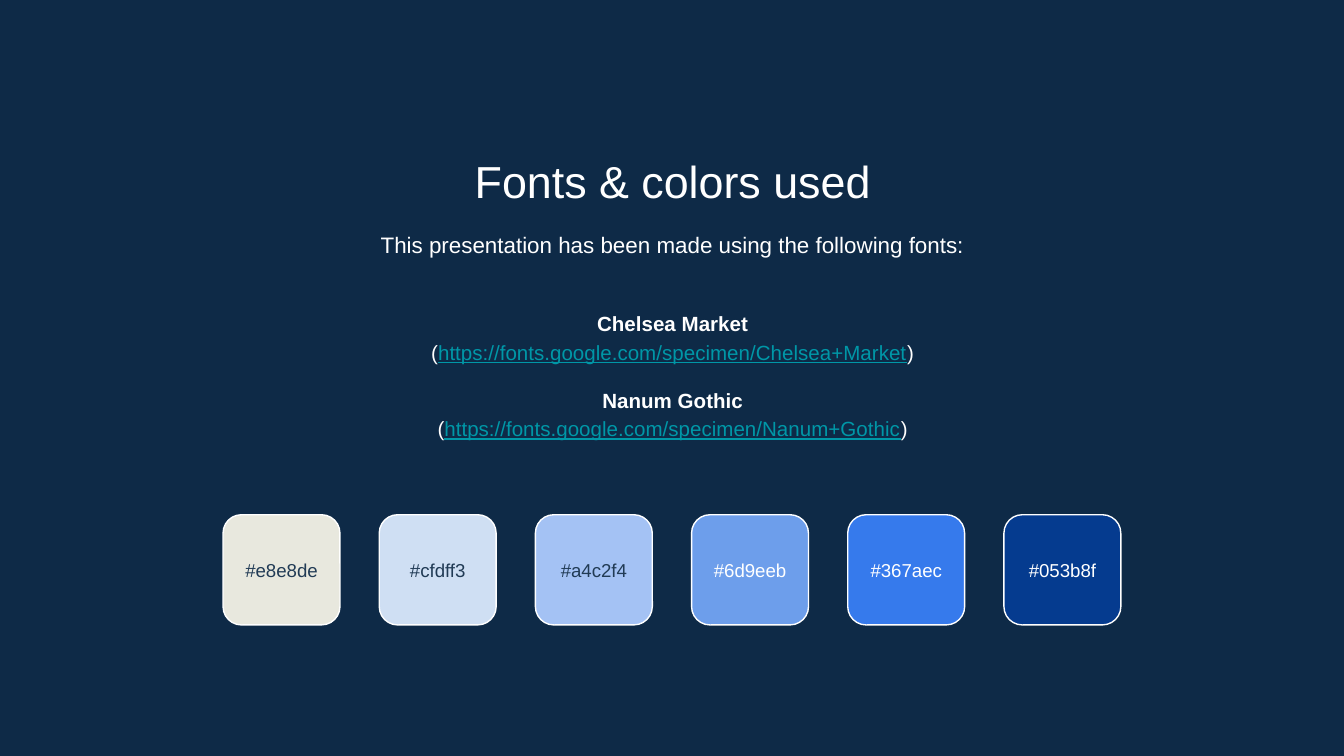
from pptx import Presentation
from pptx.dml.color import RGBColor
from pptx.enum.shapes import MSO_SHAPE
from pptx.enum.text import MSO_ANCHOR, MSO_AUTO_SIZE, PP_ALIGN
from pptx.oxml.xmlchemy import OxmlElement
from pptx.util import Inches, Pt

ROUNDED = MSO_SHAPE.ROUNDED_RECTANGLE
TOP, MIDDLE = MSO_ANCHOR.TOP, MSO_ANCHOR.MIDDLE
CENTER = PP_ALIGN.CENTER
NO_AUTOFIT = MSO_AUTO_SIZE.NONE

FONT = "Arial"
NAVY, WHITE, INK, LINK = "0E2A47", "FFFFFF", "213B55", "0097A7"
PAGE_WIDTH = 10
PAGE_HEIGHT = PAGE_WIDTH * 9 / 16
COLUMN_LEFT, COLUMN_WIDTH = 1.15, 7.71
SWATCH_FIRST, SWATCH_LAST, SWATCH_TOP = 1.66, 7.47, 3.83
SWATCH_WIDTH, SWATCH_HEIGHT = 0.87, 0.82

FONTS_USED = [
    ("Chelsea Market", "https://fonts.google.com/specimen/Chelsea+Market"),
    ("Nanum Gothic", "https://fonts.google.com/specimen/Nanum+Gothic"),
]
SWATCHES = [
    ("#e8e8de", INK),
    ("#cfdff3", INK),
    ("#a4c2f4", INK),
    ("#6d9eeb", WHITE),
    ("#367aec", WHITE),
    ("#053b8f", WHITE),
]


def color(code):
    """Turn a hex string into a colour."""
    return RGBColor.from_string(code.lstrip("#").upper())


def paint(fill, code):
    """Make a fill solid in one colour."""
    fill.solid()
    fill.fore_color.rgb = color(code)


def add_span(para, text, size=11, ink=WHITE, bold=False, underline=False):
    """Append one formatted run to a paragraph."""
    span = para.add_run()
    span.text = text
    font = span.font
    font.name, font.size = FONT, Pt(size)
    font.bold, font.underline = bold, underline
    font.color.rgb = color(ink)


def format_para(para, spacing=1.15, before=0):
    """Centre a paragraph without bullet or indent."""
    para.alignment = CENTER
    para.line_spacing = spacing
    para.space_before = Pt(before)
    properties = para._p.get_or_add_pPr()
    properties.set("marL", "0")
    properties.set("indent", "0")
    properties.append(OxmlElement("a:buNone"))


def place(box, top, height, anchor=TOP):
    """Move a placeholder into the text column and return its text frame."""
    box.left, box.top = Inches(COLUMN_LEFT), Inches(top)
    box.width, box.height = Inches(COLUMN_WIDTH), Inches(height)
    frame = box.text_frame
    frame.word_wrap, frame.auto_size = True, NO_AUTOFIT
    frame.vertical_anchor = anchor
    frame.margin_left = frame.margin_right = Inches(0.1)
    frame.margin_top = frame.margin_bottom = Inches(0.1)
    return frame


def write_line(box, text, top, height, size, spacing):
    """Fill a placeholder with a single line."""
    para = place(box, top, height).paragraphs[0]
    format_para(para, spacing)
    add_span(para, text, size=size)


def write_fonts(box):
    """List each font name above its address."""
    frame = place(box, 2.1, 1.37, MIDDLE)
    for index, (name, address) in enumerate(FONTS_USED):
        heading = frame.add_paragraph() if index else frame.paragraphs[0]
        format_para(heading, before=10.7 if index else 0)
        add_span(heading, name, bold=True)
        para = frame.add_paragraph()
        format_para(para)
        add_span(para, "(")
        add_span(para, address, ink=LINK, underline=True)
        add_span(para, ")")


def add_swatch(page, left, code, ink):
    """Draw a rounded square labelled with its own colour."""
    swatch = page.shapes.add_shape(
        ROUNDED, Inches(left), Inches(SWATCH_TOP),
        Inches(SWATCH_WIDTH), Inches(SWATCH_HEIGHT))
    swatch.shadow.inherit = False
    paint(swatch.fill, code)
    paint(swatch.line.fill, WHITE)
    swatch.line.width = Pt(0.75)
    frame = swatch.text_frame
    frame.margin_left = frame.margin_right = 0
    frame.vertical_anchor = MIDDLE
    para = frame.paragraphs[0]
    para.alignment = CENTER
    add_span(para, code, size=10, ink=ink)


def main():
    """Build the slide and save the deck."""
    deck = Presentation()
    deck.slide_width, deck.slide_height = Inches(PAGE_WIDTH), Inches(PAGE_HEIGHT)
    page = deck.slides.add_slide(deck.slide_layouts.get_by_name("Two Content"))
    paint(page.background.fill, NAVY)
    title, intro, fonts = page.placeholders
    write_line(title, "Fonts & colors used", 1.04, 0.53, size=24, spacing=1)
    write_line(intro, "This presentation has been made using the following fonts:",
               1.59, 0.48, size=12, spacing=1.15)
    write_fonts(fonts)
    step = (SWATCH_LAST - SWATCH_FIRST) / (len(SWATCHES) - 1)
    for column, (code, ink) in enumerate(SWATCHES):
        add_swatch(page, SWATCH_FIRST + column * step, code, ink)
    deck.save("out.pptx")


if __name__ == "__main__":
    main()
